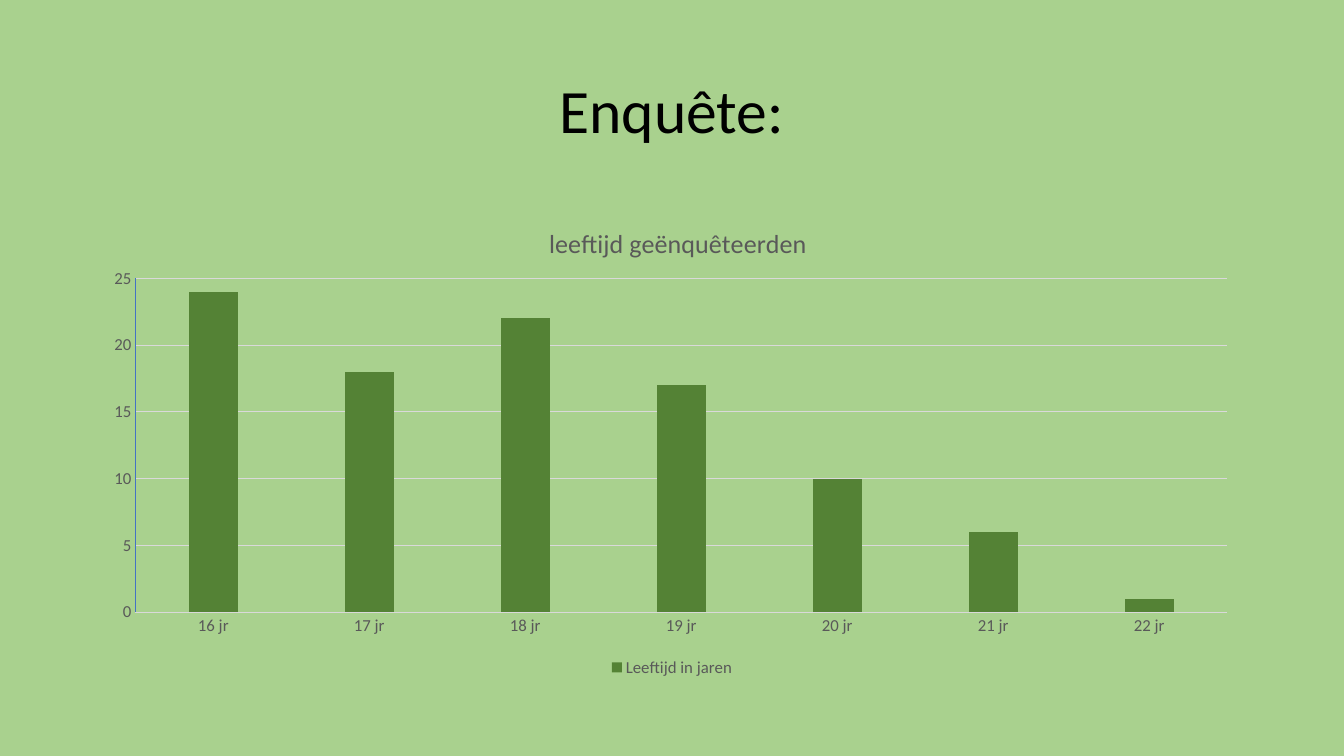
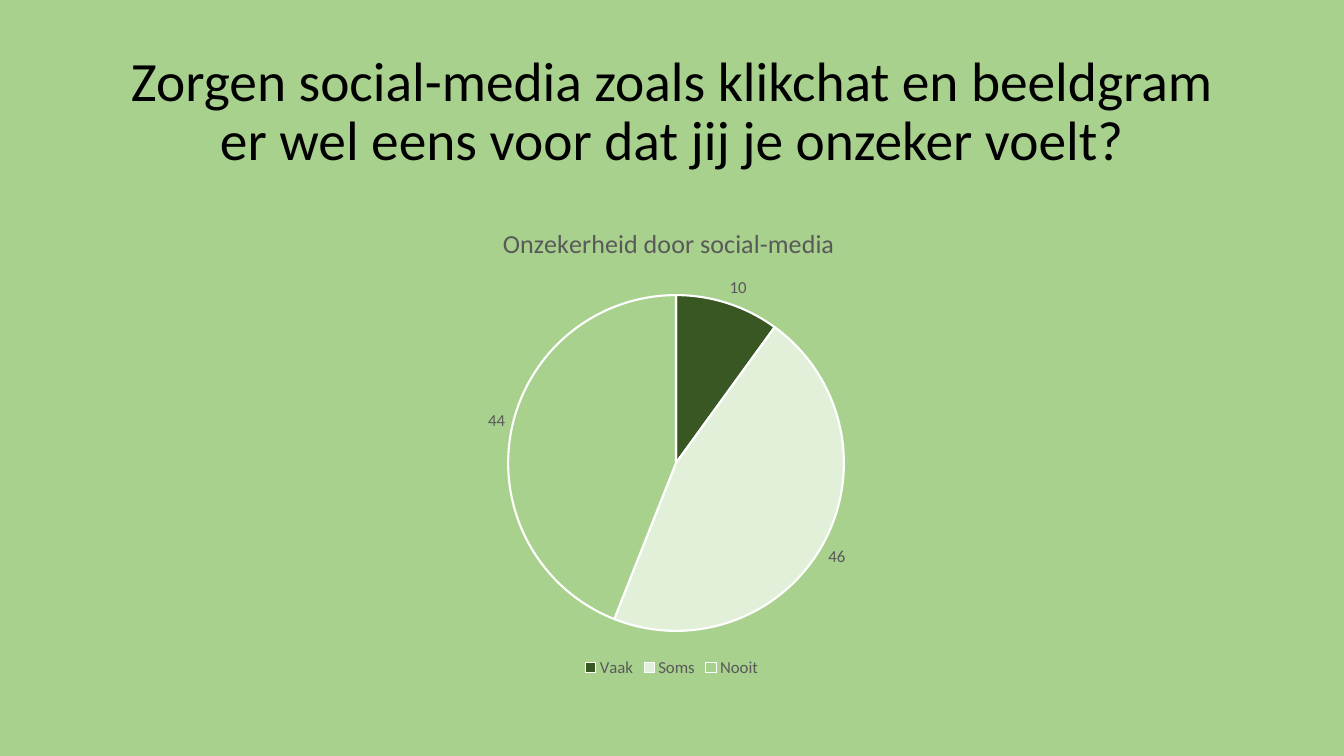
from dataclasses import dataclass

from lxml import etree
from pptx import Presentation
from pptx import util as u
from pptx.chart.data import CategoryChartData
from pptx.dml.color import RGBColor
from pptx.enum import chart as ch
from pptx.enum import text
from pptx.oxml.ns import qn

AGES = {
    "heading": "Enquête:",
    "heading_size": 44,
    "caption": "leeftijd geënquêteerden",
    "series": "Leeftijd in jaren",
    "counts": {"16 jr": 24, "17 jr": 18, "18 jr": 22, "19 jr": 17,
               "20 jr": 10, "21 jr": 6, "22 jr": 1},
    "caption_at": (0.39, 0.04),
    "plot_at": (0.037, 0.16, 0.942, 0.696),
}
INSECURITY = {
    "heading": "Zorgen social-media zoals klikchat en beeldgram "
               "er wel eens voor dat jij je onzeker voelt?",
    "heading_size": 39.6,
    "caption": "Onzekerheid door social-media",
    "series": "Series 1",
    "counts": {"Vaak": 10, "Soms": 46, "Nooit": 44},
    "caption_at": (0.35, 0.04),
    "plot_at": (0.358, 0.195, 0.291, 0.7),
}


@dataclass(frozen=True)
class Theme:
    font: str = "Calibri"
    background: str = "A9D18E"
    heading: str = "000000"
    label: str = "595959"
    grid: str = "D9D9D9"
    value_axis: str = "4472C4"
    bar: str = "548235"
    slices: tuple = ("385723", "E2F0D9", "A9D18E")
    slice_edge: str = "FFFFFF"
    caption_size: float = 18.6
    label_size: float = 12
    line_width: float = 0.75
    edge_width: float = 1.5


THEME = Theme()
LEFT, WIDTH = u.Cm(2.33), u.Cm(29.21)
HEADING_TOP, HEADING_HEIGHT = u.Cm(1.01), u.Cm(3.68)
CHART_TOP, CHART_HEIGHT = u.Cm(5.08), u.Cm(12.09)


def set_font(font, size, color):
    font.name = THEME.font
    font.size = u.Pt(size)
    font.color.rgb = RGBColor.from_string(color)


def set_fill(fill, color):
    fill.solid()
    fill.fore_color.rgb = RGBColor.from_string(color)


def set_line(line, color, width=THEME.line_width):
    line.color.rgb = RGBColor.from_string(color)
    line.width = u.Pt(width)


def place(part, position, inner=False):
    """Fix a chart part at fractions (x, y[, w, h]) of the chart frame."""
    for old in part.findall(qn("c:layout")):
        part.remove(old)
    layout = etree.Element(qn("c:layout"))
    manual = etree.SubElement(layout, qn("c:manualLayout"))
    settings = [("layoutTarget", "inner")] if inner else []
    settings += [("xMode", "edge"), ("yMode", "edge")]
    settings += zip("xywh", position)
    for tag, value in settings:
        etree.SubElement(manual, qn(f"c:{tag}")).set("val", str(value))
    rich_text = part.find(qn("c:tx"))
    part.insert(0 if rich_text is None else 1, layout)


def add_heading(slide, content):
    box = slide.shapes.add_textbox(LEFT, HEADING_TOP, WIDTH, HEADING_HEIGHT)
    frame = box.text_frame
    frame.word_wrap = True
    frame.vertical_anchor = text.MSO_ANCHOR.MIDDLE
    paragraph = frame.paragraphs[0]
    paragraph.alignment = text.PP_ALIGN.CENTER
    paragraph.line_spacing = 0.9
    run = paragraph.add_run()
    run.text = content["heading"]
    set_font(run.font, content["heading_size"], THEME.heading)


def add_survey_chart(slide, content, chart_type):
    data = CategoryChartData()
    data.categories = list(content["counts"])
    data.add_series(content["series"], list(content["counts"].values()))
    chart = slide.shapes.add_chart(
        chart_type, LEFT, CHART_TOP, WIDTH, CHART_HEIGHT, data).chart
    set_font(chart.font, THEME.label_size, THEME.label)

    chart.has_title = True
    caption = chart.chart_title
    run = caption.text_frame.paragraphs[0].add_run()
    run.text = content["caption"]
    set_font(run.font, THEME.caption_size, THEME.label)
    run.font.bold = False
    place(caption.element, content["caption_at"])
    plot_area = chart.element.find(".//" + qn("c:plotArea"))
    place(plot_area, content["plot_at"], inner=True)

    chart.has_legend = True
    chart.legend.position = ch.XL_LEGEND_POSITION.BOTTOM
    chart.legend.include_in_layout = False
    set_font(chart.legend.font, THEME.label_size, THEME.label)
    return chart


def style_columns(chart):
    plot = chart.plots[0]
    plot.vary_by_categories = False
    plot.gap_width = 219
    plot.overlap = -27
    set_fill(plot.series[0].format.fill, THEME.bar)
    values = chart.value_axis
    for axis, color in ((chart.category_axis, THEME.grid),
                        (values, THEME.value_axis)):
        axis.major_tick_mark = axis.minor_tick_mark = ch.XL_TICK_MARK.NONE
        set_line(axis.format.line, color)
        set_font(axis.tick_labels.font, THEME.label_size, THEME.label)
    values.minimum_scale, values.maximum_scale, values.major_unit = 0, 25, 5
    values.has_major_gridlines = True
    set_line(values.major_gridlines.format.line, THEME.grid)


def style_pie(chart):
    plot = chart.plots[0]
    plot.vary_by_categories = True
    answers = plot.series[0]
    for index, color in enumerate(THEME.slices):
        piece = answers.points[index].format
        set_fill(piece.fill, color)
        set_line(piece.line, THEME.slice_edge, THEME.edge_width)
    labels = answers.data_labels
    labels.show_value = True
    labels.position = ch.XL_LABEL_POSITION.OUTSIDE_END
    set_font(labels.font, THEME.label_size, THEME.label)


SLIDES = [
    (AGES, ch.XL_CHART_TYPE.COLUMN_CLUSTERED, style_columns),
    (INSECURITY, ch.XL_CHART_TYPE.PIE, style_pie),
]


def main():
    prs = Presentation()
    prs.slide_width, prs.slide_height = u.Cm(33.87), u.Cm(19.05)
    set_fill(prs.slide_master.background.fill, THEME.background)
    for content, chart_type, style in SLIDES:
        slide = prs.slides.add_slide(prs.slide_layouts[6])
        add_heading(slide, content)
        style(add_survey_chart(slide, content, chart_type))
    prs.save("out.pptx")


if __name__ == "__main__":
    main()
